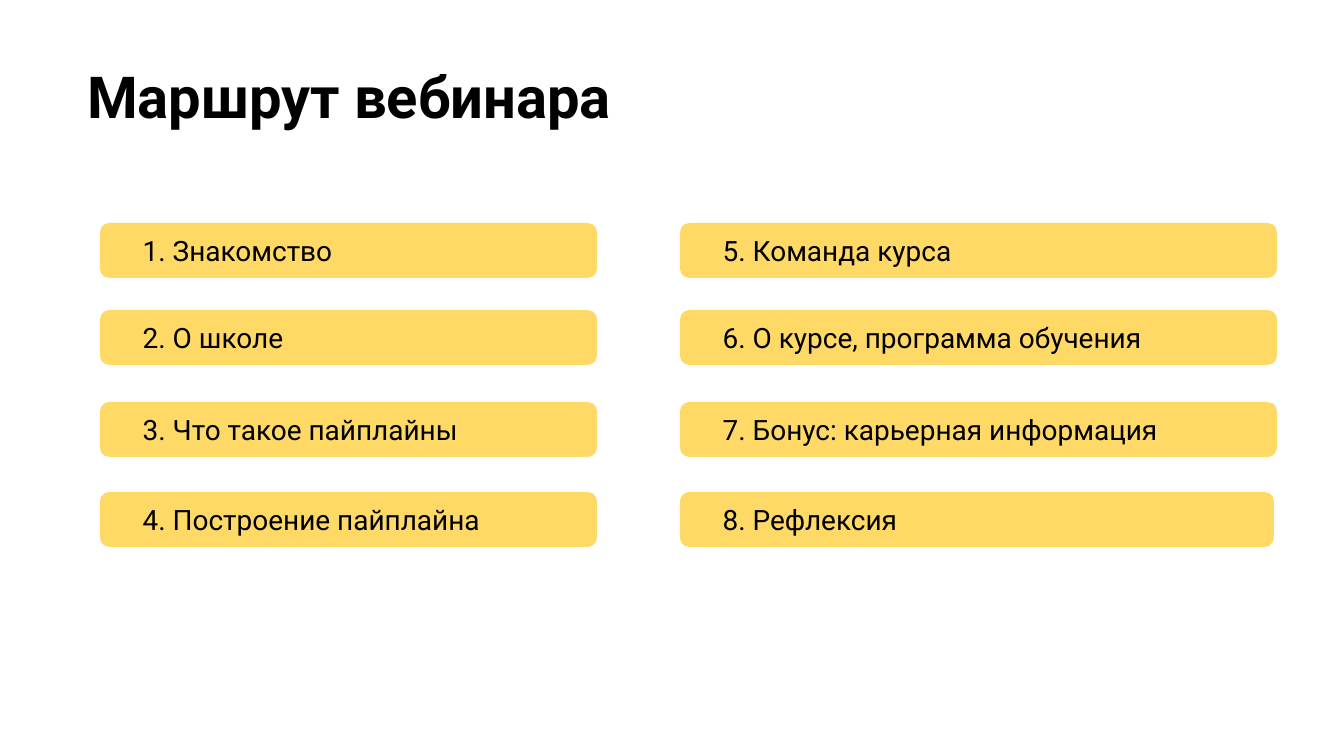
from dataclasses import dataclass

from pptx import Presentation
from pptx.dml.color import RGBColor
from pptx.enum.shapes import MSO_SHAPE as Shape
from pptx.enum.text import MSO_ANCHOR as Anchor, PP_ALIGN as Align
from pptx.util import Emu, Pt

SLIDE_WIDTH, SLIDE_HEIGHT = 1344, 756
ROW_TOPS = (223, 310, 402, 492)
CARD_HEIGHT = 55
COLUMNS = (
    (100, (
        ("1. Знакомство", 497),
        ("2. О школе", 497),
        ("3. Что такое пайплайны", 497),
        ("4. Построение пайплайна", 497),
    )),
    (680, (
        ("5. Команда курса", 597),
        ("6. О курсе, программа обучения", 597),
        ("7. Бонус: карьерная информация", 597),
        ("8. Рефлексия", 594),
    )),
)


@dataclass(frozen=True)
class Theme:
    font: str = "Roboto"
    ink: RGBColor = RGBColor(0, 0, 0)
    card: RGBColor = RGBColor(0xFF, 0xD9, 0x66)
    paper: RGBColor = RGBColor(0xFF, 0xFF, 0xFF)
    title_size: int = 31
    card_size: int = 15


THEME = Theme()


def px(length):
    return Emu(round(length * 9144000 / SLIDE_WIDTH))


def write_text(frame, text, *, size, bold=False, anchor=Anchor.TOP, side_inset=13):
    frame.word_wrap = True
    frame.vertical_anchor = anchor
    frame.margin_left = frame.margin_right = px(side_inset)
    frame.margin_top = frame.margin_bottom = px(13)
    paragraph = frame.paragraphs[0]
    paragraph.alignment = Align.LEFT
    paragraph.line_spacing = 1.0
    run = paragraph.add_run()
    run.text = text
    run.font.name = THEME.font
    run.font.size = Pt(size)
    run.font.bold = bold
    run.font.color.rgb = THEME.ink


def place_title(slide, text):
    title = slide.shapes.title
    title.left, title.top, title.width, title.height = map(px, (74, 48, 1253, 144))
    write_text(title.text_frame, text, size=THEME.title_size, bold=True)


def add_card(slide, text, left, top, width):
    card = slide.shapes.add_shape(
        Shape.ROUNDED_RECTANGLE, px(left), px(top), px(width), px(CARD_HEIGHT))
    card.adjustments[0] = 0.17
    card.shadow.inherit = False
    card.fill.solid()
    card.fill.fore_color.rgb = THEME.card
    card.line.fill.background()
    write_text(card.text_frame, text, size=THEME.card_size,
               anchor=Anchor.MIDDLE, side_inset=40)


def main():
    deck = Presentation()
    deck.slide_width, deck.slide_height = px(SLIDE_WIDTH), px(SLIDE_HEIGHT)
    slide = deck.slides.add_slide(deck.slide_layouts[5])
    slide.background.fill.solid()
    slide.background.fill.fore_color.rgb = THEME.paper
    place_title(slide, "Маршрут вебинара")
    for left, topics in COLUMNS:
        for top, (topic, width) in zip(ROW_TOPS, topics):
            add_card(slide, topic, left, top, width)
    deck.save("out.pptx")


if __name__ == "__main__":
    main()
